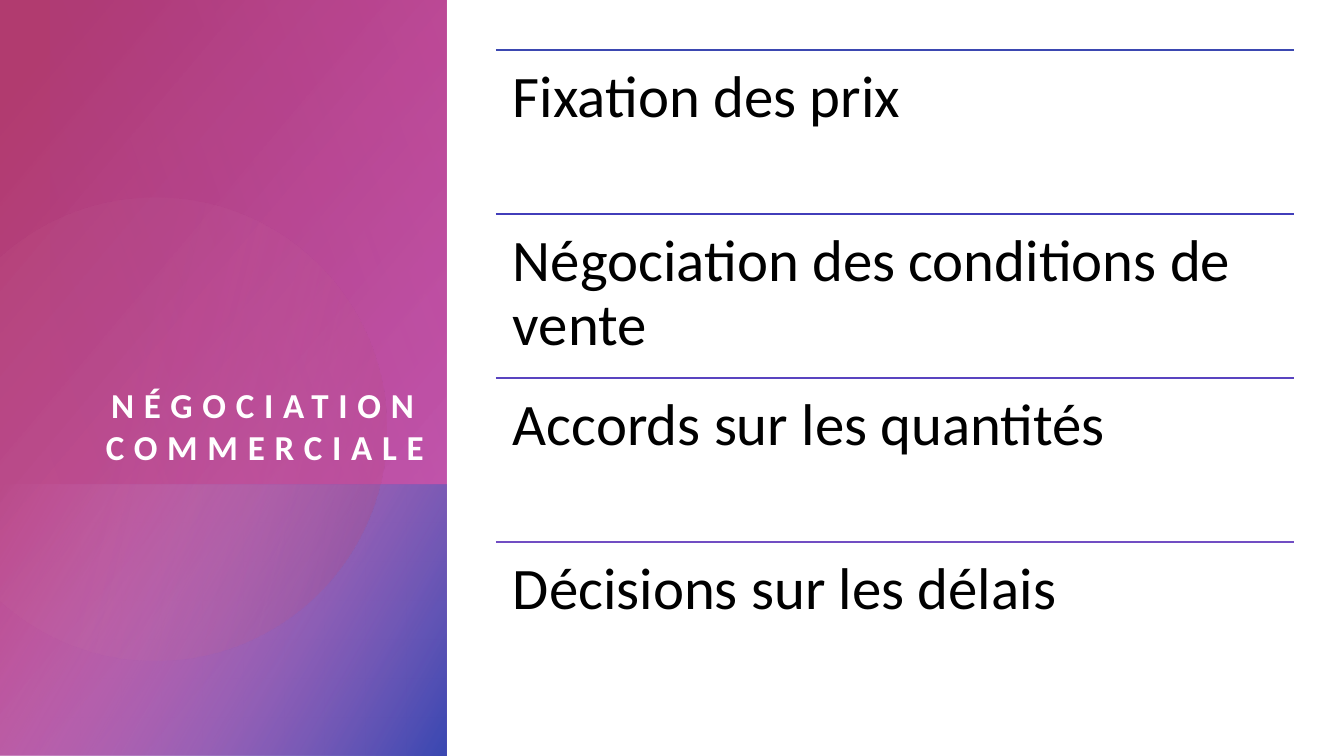
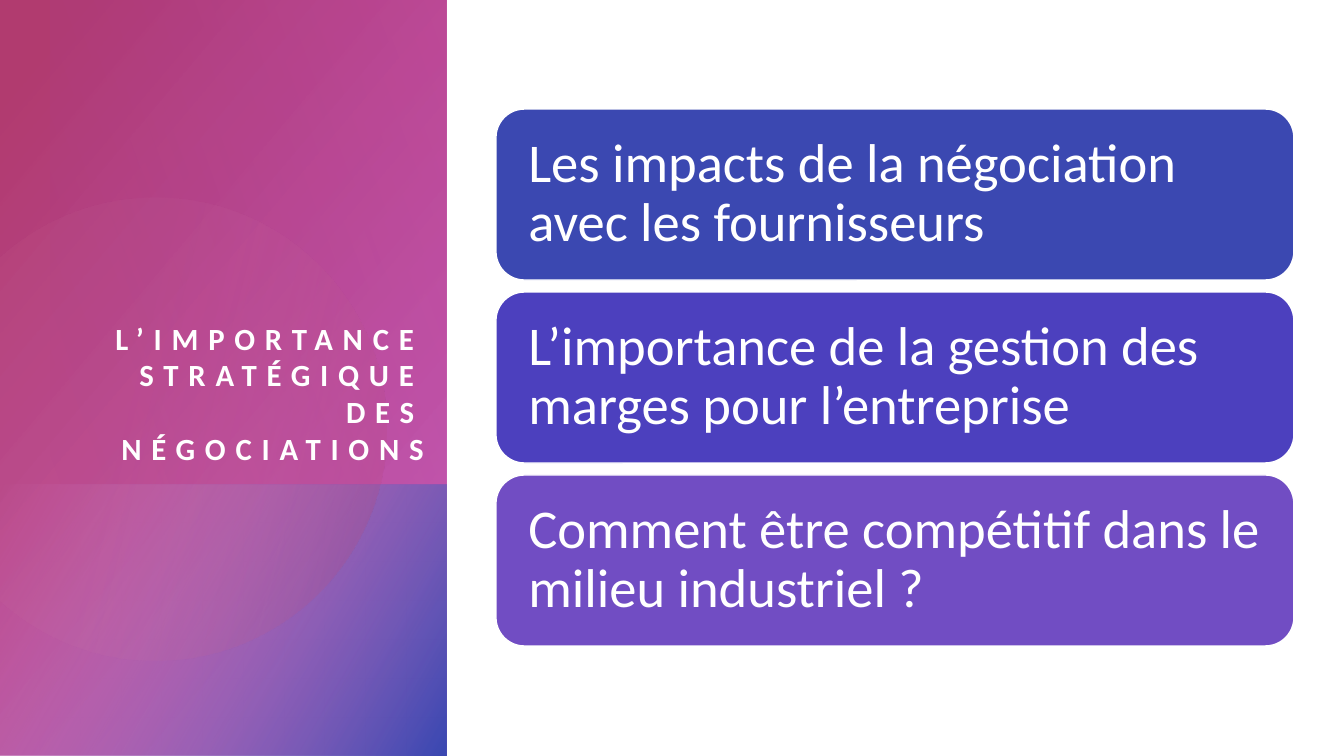
import math
from dataclasses import dataclass

from lxml import etree
from pptx import Presentation
from pptx import util as u
from pptx.dml.color import RGBColor
from pptx.enum import shapes, text
from pptx.oxml.ns import qn

SLIDE_W, SLIDE_H = 1344, 756
EMU_PER_PX = u.Inches(1) / 100.8
PANEL_W, SPLIT_Y = 446, 485
LIST_X, LIST_W = 496, 798


@dataclass(frozen=True)
class Theme:
    font: str = "Calibri"
    white: str = "FFFFFF"
    black: str = "000000"
    rose: str = "B13B6F"
    magenta: str = "C34DB2"
    purple: str = "913BB1"
    pink: str = "DB94D1"
    blush: str = "D684A8"
    indigo: str = "3B48B1"
    rules: tuple = ("3B48B1", "423EBA", "5944C0", "714DC3")
    cards: tuple = ("3B48B1", "4C40BE", "714DC3")
    row_size: int = 42
    card_size: int = 39
    title_spacing: int = 7


THEME = Theme()


def px(length):
    return u.Emu(round(length * EMU_PER_PX))


def rgb(colour):
    return RGBColor.from_string(colour)


def assign(target, values):
    for name, value in values.items():
        setattr(target, name, value)


def fill_gradient(shape, start, end, angle):
    """Fill from start to end, each (position %, colour, opacity %), at a clockwise angle."""
    shape.shadow.inherit = False
    shape.line.fill.background()
    shape.fill.gradient()
    shape.fill.gradient_angle = -angle % 360
    for stop, (position, colour, _) in zip(shape.fill.gradient_stops, (start, end)):
        stop.position = position / 100
        stop.color.rgb = rgb(colour)
    for node, (_, _, opacity) in zip(shape._element.spPr.iter(qn("a:srgbClr")), (start, end)):
        etree.SubElement(node, qn("a:alpha"), val=str(opacity * 1000))


def add_gradient_block(page, left, top, width, height, *gradient):
    block = page.shapes.add_shape(
        shapes.MSO_SHAPE.RECTANGLE, px(left), px(top), px(width), px(height))
    fill_gradient(block, *gradient)


def add_clipped_disc(page, centre_x, centre_y, radius, *gradient):
    """Draw a disc cut off by the left edge of the slide."""
    limit = math.acos(-centre_x / radius)
    steps = 120
    angles = [limit * (2 * step / steps - 1) for step in range(steps + 1)]
    points = [(px(centre_x + radius * math.cos(a)), px(centre_y + radius * math.sin(a)))
              for a in angles]
    builder = page.shapes.build_freeform(*points[0])
    builder.add_line_segments(points[1:], close=True)
    fill_gradient(builder.convert_to_shape(), *gradient)


def write(shape, wording, size, colour, inset, anchor, spacing=1.0,
          align=text.PP_ALIGN.LEFT, bold=False):
    frame = shape.text_frame
    margins = {f"margin_{side}": px(inset) for side in ("left", "top", "right", "bottom")}
    assign(frame, {"word_wrap": True, "vertical_anchor": anchor, **margins})
    para = frame.paragraphs[0]
    assign(para, {"alignment": align, "line_spacing": spacing})
    span = para.add_run()
    span.text = wording
    assign(span.font, {"name": THEME.font, "size": u.Pt(size), "bold": bold})
    span.font.color.rgb = rgb(colour)
    return span


def add_text_box(page, left, top, width, height, *content, **style):
    box = page.shapes.add_textbox(px(left), px(top), px(width), px(height))
    return write(box, *content, **style)


def add_rule(page, left, top, width, colour):
    rule = page.shapes.add_connector(
        shapes.MSO_CONNECTOR.STRAIGHT, px(left), px(top), px(left + width), px(top))
    rule.line.color.rgb = rgb(colour)
    rule.line.width = u.Pt(1)
    etree.SubElement(rule._element.spPr, qn("a:effectLst"))


def add_page(deck, title, title_size):
    """Add a slide with the coloured side panel and its title."""
    page = deck.slides.add_slide(deck.slide_layouts[6])
    add_gradient_block(page, 0, 0, PANEL_W, SLIDE_H,
                       (8, THEME.rose, 100), (100, THEME.magenta, 89), 40)
    add_gradient_block(page, 0, SPLIT_Y, PANEL_W, SLIDE_H - SPLIT_Y,
                       (0, THEME.pink, 0), (99, THEME.indigo, 100), 30)
    add_clipped_disc(page, 155, 429, 231,
                     (36, THEME.blush, 6), (100, THEME.rose, 26), 14)
    add_gradient_block(page, 50, 0, PANEL_W - 50, SPLIT_Y,
                       (0, THEME.magenta, 29), (100, THEME.purple, 0), 160)
    span = add_text_box(page, 50, 96, 374, 371, title, title_size, THEME.white, 0,
                        text.MSO_ANCHOR.BOTTOM, align=text.PP_ALIGN.RIGHT, bold=True)
    span._r.get_or_add_rPr().set("spc", str(THEME.title_spacing * 100))
    return page


def add_ruled_list(page, rows):
    top, pitch = 50, 164
    for index, (wording, colour) in enumerate(zip(rows, THEME.rules)):
        row_top = top + index * pitch
        add_rule(page, LIST_X, row_top, LIST_W, colour)
        add_text_box(page, LIST_X, row_top, LIST_W, pitch, wording, THEME.row_size,
                     THEME.black, 17, text.MSO_ANCHOR.TOP, spacing=0.9)


def add_cards(page, wordings):
    top, height, gap = 109, 171, 12
    for index, (wording, colour) in enumerate(zip(wordings, THEME.cards)):
        card = page.shapes.add_shape(
            shapes.MSO_SHAPE.ROUNDED_RECTANGLE, px(LIST_X),
            px(top + index * (height + gap)), px(LIST_W), px(height))
        card.shadow.inherit = False
        card.fill.solid()
        card.fill.fore_color.rgb = rgb(colour)
        card.line.color.rgb = rgb(THEME.white)
        card.line.width = u.Pt(1)
        write(card, wording, THEME.card_size, THEME.white, 24,
              text.MSO_ANCHOR.MIDDLE, spacing=0.9)


def main():
    deck = Presentation()
    assign(deck, {"slide_width": px(SLIDE_W), "slide_height": px(SLIDE_H)})
    add_ruled_list(add_page(deck, "NÉGOCIATION COMMERCIALE", 25), (
        "Fixation des prix",
        "Négociation des conditions de vente",
        "Accords sur les quantités",
        "Décisions sur les délais",
    ))
    add_cards(add_page(deck, "L’IMPORTANCE STRATÉGIQUE DES NÉGOCIATIONS", 22), (
        "Les impacts de la négociation avec les fournisseurs",
        "L’importance de la gestion des marges pour l’entreprise",
        "Comment être compétitif dans le milieu industriel ?",
    ))
    deck.save("out.pptx")


if __name__ == "__main__":
    main()
